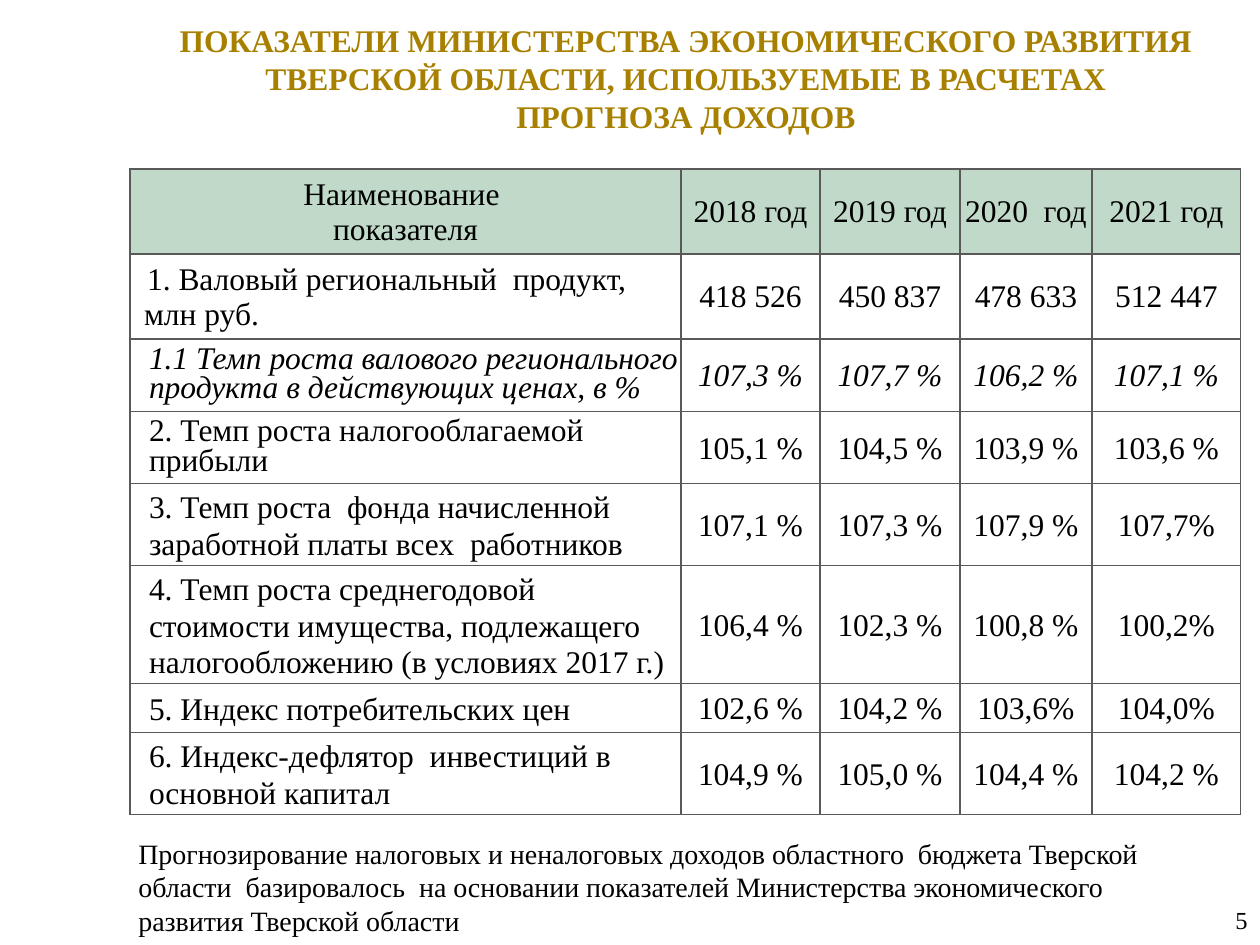
from dataclasses import dataclass

from lxml import etree
from pptx import Presentation
from pptx.dml.color import RGBColor
from pptx.enum.text import MSO_ANCHOR, PP_ALIGN
from pptx.oxml.ns import qn
from pptx.util import Emu, Pt

LEFT, CENTER, RIGHT = PP_ALIGN.LEFT, PP_ALIGN.CENTER, PP_ALIGN.RIGHT
TOP, MIDDLE = MSO_ANCHOR.TOP, MSO_ANCHOR.MIDDLE

FONT_NAME = "Times New Roman"
BLACK = RGBColor(0x00, 0x00, 0x00)
GOLD = RGBColor(0xA8, 0x80, 0x00)
HEADER_GREEN = RGBColor(0xC1, 0xD9, 0xC8)
BORDER_GRAY = RGBColor(0x59, 0x59, 0x59)
BORDER_WIDTH = Pt(0.75)
TABLE_FONT_SIZE = 18
PIXELS_PER_INCH = 126
LABEL_MARGIN = 19


def px(count: int) -> Emu:
    return Emu(round(count * 914400 / PIXELS_PER_INCH))


@dataclass(frozen=True)
class Caption:
    text: str
    left: int
    top: int
    width: int
    height: int
    size: int
    color: RGBColor = BLACK
    bold: bool = False
    alignment: PP_ALIGN = LEFT
    anchor: MSO_ANCHOR = TOP


@dataclass(frozen=True)
class Indicator:
    """A table row; line_spacing is in points, indents are one per label line."""
    label: str
    values: tuple[str, ...]
    height: int
    line_spacing: int | None = 21
    label_margin: int = LABEL_MARGIN
    indents: tuple[int, ...] = (0,)
    italic: bool = False


CAPTIONS = (
    Caption("ПОКАЗАТЕЛИ МИНИСТЕРСТВА ЭКОНОМИЧЕСКОГО РАЗВИТИЯ ТВЕРСКОЙ ОБЛАСТИ, "
            "ИСПОЛЬЗУЕМЫЕ В РАСЧЕТАХ ПРОГНОЗА ДОХОДОВ",
            164, 15, 1044, 127, 18, GOLD, bold=True, alignment=CENTER),
    Caption("Прогнозирование налоговых и неналоговых доходов областного  бюджета "
            "Тверской области  базировалось  на основании показателей Министерства "
            "экономического развития Тверской области",
            126, 830, 1058, 115, 16),
    Caption("5", 976, 895, 284, 50, 14, alignment=RIGHT, anchor=MIDDLE),
)

TABLE_LEFT, TABLE_TOP = 130, 169
COLUMN_WIDTHS = (551, 139, 140, 132, 149)
HEADER = Indicator("Наименование \nпоказателя",
                   ("2018 год", "2019 год", "2020  год", "2021 год"),
                   85, line_spacing=None, label_margin=1, indents=(0, 0))
INDICATORS = (
    Indicator("1. Валовый региональный  продукт,\nмлн руб.",
              ("418 526", "450 837", "478 633", "512 447"),
              85, line_spacing=None, label_margin=1, indents=(16, 13)),
    Indicator("1.1 Темп роста валового регионального продукта в действующих ценах, в %",
              ("107,3 %", "107,7 %", "106,2 %", "107,1 %"),
              73, line_spacing=17, italic=True),
    Indicator("2. Темп роста налогооблагаемой прибыли",
              ("105,1 %", "104,5 %", "103,9 %", "103,6 %"), 72, line_spacing=17),
    Indicator("3. Темп роста  фонда начисленной заработной платы всех  работников",
              ("107,1 %", "107,3 %", "107,9 %", "107,7%"), 82),
    Indicator("4. Темп роста среднегодовой стоимости имущества, подлежащего "
              "налогообложению (в условиях 2017 г.)",
              ("106,4 %", "102,3 %", "100,8 %", "100,2%"), 118),
    Indicator("5. Индекс потребительских цен",
              ("102,6 %", "104,2 %", "103,6%", "104,0%"), 49),
    Indicator("6. Индекс-дефлятор  инвестиций в основной капитал",
              ("104,9 %", "105,0 %", "104,4 %", "104,2 %"), 82),
)


def style_paragraph(paragraph, size: int, color: RGBColor, alignment: PP_ALIGN,
                    bold: bool = False, italic: bool = False) -> None:
    paragraph.alignment = alignment
    font = paragraph.font
    font.name, font.size = FONT_NAME, Pt(size)
    font.bold, font.italic = bold, italic
    font.color.rgb = color


def add_caption(slide, caption: Caption) -> None:
    box = slide.shapes.add_textbox(px(caption.left), px(caption.top),
                                   px(caption.width), px(caption.height))
    frame = box.text_frame
    frame.word_wrap = True
    frame.vertical_anchor = caption.anchor
    frame.text = caption.text
    style_paragraph(frame.paragraphs[0], caption.size, caption.color,
                    caption.alignment, caption.bold)


def add_borders(cell) -> None:
    properties = cell._tc.get_or_add_tcPr()
    for side in ("a:lnL", "a:lnR", "a:lnT", "a:lnB"):
        line = etree.SubElement(properties, qn(side), w=str(BORDER_WIDTH))
        fill = etree.SubElement(line, qn("a:solidFill"))
        etree.SubElement(fill, qn("a:srgbClr"), val=str(BORDER_GRAY))


def fill_cell(cell, text: str, alignment: PP_ALIGN, italic: bool, is_header: bool,
              left_margin: int = 1) -> None:
    add_borders(cell)
    if is_header:
        cell.fill.solid()
        cell.fill.fore_color.rgb = HEADER_GREEN
    else:
        cell.fill.background()
    cell.vertical_anchor = MIDDLE
    cell.margin_left, cell.margin_right = px(left_margin), px(1)
    cell.margin_top, cell.margin_bottom = px(1), px(0)
    cell.text_frame.text = text
    for paragraph in cell.text_frame.paragraphs:
        style_paragraph(paragraph, TABLE_FONT_SIZE, BLACK, alignment, italic=italic)


def fill_row(table, row_index: int, indicator: Indicator) -> None:
    is_header = indicator is HEADER
    table.rows[row_index].height = px(indicator.height)
    label_cell = table.cell(row_index, 0)
    fill_cell(label_cell, indicator.label, CENTER if is_header else LEFT,
              indicator.italic, is_header, indicator.label_margin)
    for paragraph, indent in zip(label_cell.text_frame.paragraphs, indicator.indents):
        if indicator.line_spacing:
            paragraph.line_spacing = Pt(indicator.line_spacing)
        if indent:
            paragraph._p.get_or_add_pPr().set("indent", str(px(indent)))
    for column_index, value in enumerate(indicator.values, start=1):
        fill_cell(table.cell(row_index, column_index), value, CENTER,
                  indicator.italic, is_header)


def add_indicator_table(slide) -> None:
    rows = (HEADER, *INDICATORS)
    frame = slide.shapes.add_table(
        len(rows), len(COLUMN_WIDTHS), px(TABLE_LEFT), px(TABLE_TOP),
        px(sum(COLUMN_WIDTHS)), px(sum(row.height for row in rows)))
    table = frame.table
    table.first_row = table.horz_banding = False
    for column, width in zip(table.columns, COLUMN_WIDTHS):
        column.width = px(width)
    for row_index, indicator in enumerate(rows):
        fill_row(table, row_index, indicator)


def main() -> None:
    presentation = Presentation()
    presentation.slide_width, presentation.slide_height = px(1260), px(945)
    slide = presentation.slides.add_slide(presentation.slide_layouts[6])
    for caption in CAPTIONS:
        add_caption(slide, caption)
    add_indicator_table(slide)
    presentation.save("out.pptx")


if __name__ == "__main__":
    main()
